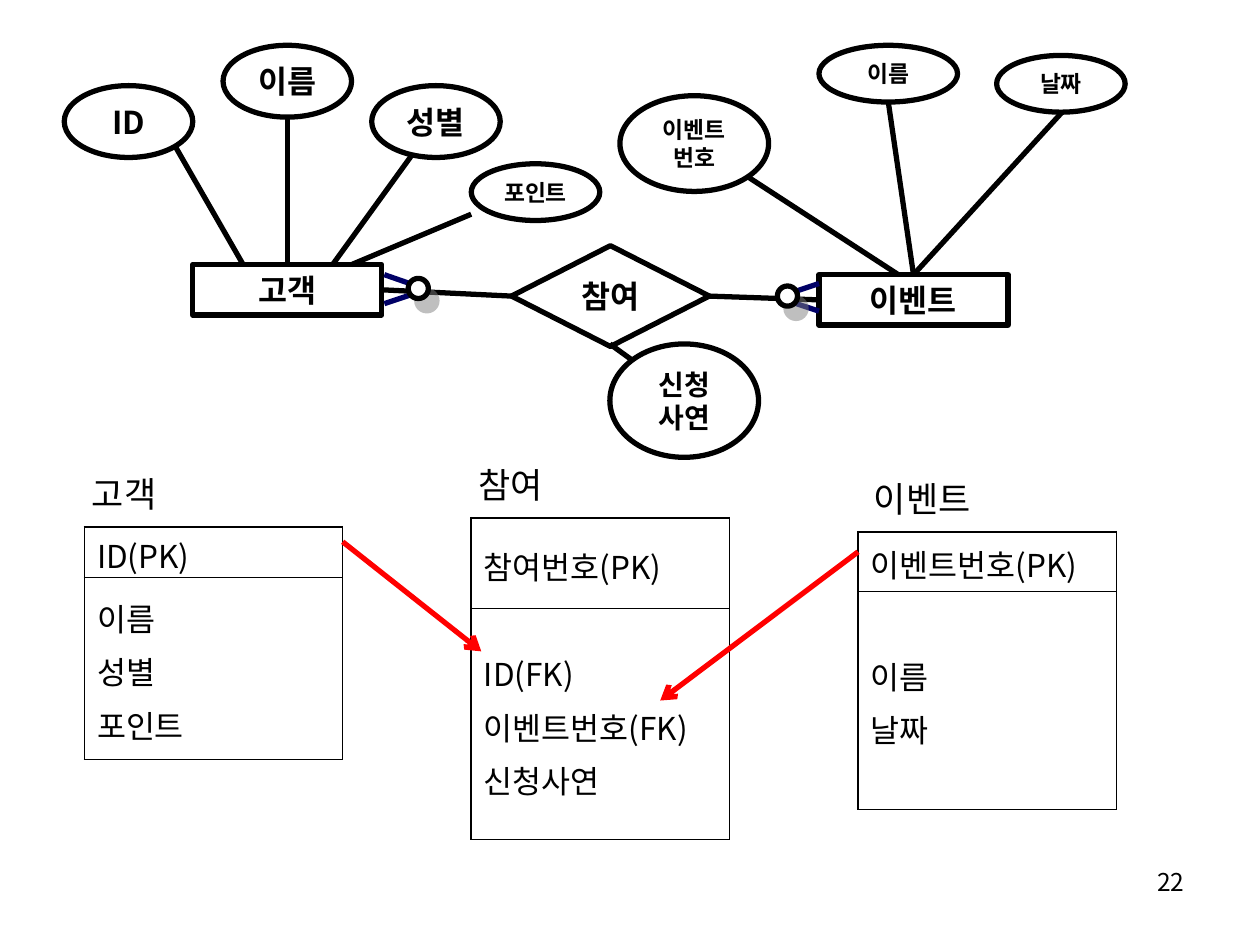
from pptx import Presentation
from pptx.dml.color import RGBColor
from pptx.enum.shapes import MSO_CONNECTOR as Conn, MSO_SHAPE as Shape
from pptx.enum.text import MSO_ANCHOR as Anchor, PP_ALIGN as Align
from pptx.oxml import parse_xml
from pptx.oxml.ns import nsdecls
from pptx.util import Inches, Pt

BLACK = RGBColor(0, 0, 0)
WHITE = RGBColor(255, 255, 255)
NAVY = RGBColor(0, 0, 0x66)
RED = RGBColor(255, 0, 0)
FACE = "Noto Sans CJK KR"
NS = nsdecls("a")

deck = Presentation()
deck.slide_width, deck.slide_height = Inches(10), Inches(7.5)
slide = deck.slides.add_slide(deck.slide_layouts[6])
shapes = slide.shapes


def write(frame, text, size, bold=False, **form):
    """Fill a text frame, one paragraph a line."""
    frame.word_wrap = True
    frame.text = text
    for para in frame.paragraphs:
        for key, val in form.items():
            setattr(para, key, val)
        font = para.runs[0].font
        look = {"size": Pt(size), "bold": bold, "name": FACE}
        for key, val in look.items():
            setattr(font, key, val)
        font.color.rgb = BLACK
        props = font._element
        props.append(parse_xml(f'<a:ea {NS} typeface="{FACE}"/>'))


def link(x1, y1, x2, y2, color=BLACK):
    """Draw a thick straight line without a shadow."""
    line = shapes.add_connector(Conn.STRAIGHT, Inches(x1), Inches(y1),
                                Inches(x2), Inches(y2))
    line.line.color.rgb = color
    line.line.width = Pt(3)
    line._element.spPr.append(parse_xml(f"<a:effectLst {NS}/>"))
    return line


# Entities, attributes and the relationship
nodes = [
    (Shape.RECTANGLE, "이벤트", 18, 6.5, 2.18, 1.5, 0.4),
    (Shape.RECTANGLE, "고객", 18, 1.53, 2.1, 1.5, 0.4),
    (Shape.FLOWCHART_DECISION, "참여", 18, 4.06, 1.95, 1.57, 0.8),
    (Shape.OVAL, "ID", 18, 0.51, 0.68, 1.02, 0.57),
    (Shape.OVAL, "이름", 18, 1.77, 0.36, 1.02, 0.57),
    (Shape.OVAL, "성별", 18, 2.95, 0.68, 1.02, 0.57),
    (Shape.OVAL, "포인트", 13, 3.74, 1.3, 1.02, 0.45),
    (Shape.OVAL, "이벤트번호", 13, 4.92, 0.76, 1.18, 0.76),
    (Shape.OVAL, "이름", 13, 6.5, 0.36, 1.1, 0.45),
    (Shape.OVAL, "날짜", 13, 7.91, 0.44, 1.02, 0.45),
    (Shape.OVAL, "신청\n사연", 16, 4.84, 2.73, 1.18, 0.9),
]
made = []
for kind, text, size, *box in nodes:
    node = shapes.add_shape(kind, *map(Inches, box))
    node.shadow.inherit = False
    node.fill.background()
    node.line.color.rgb = BLACK
    node.line.width = Pt(3)
    node.text_frame.vertical_anchor = Anchor.MIDDLE
    write(node.text_frame, text, size, True, alignment=Align.CENTER)
    made.append(node)
event, client, join = made[:3]

# Attribute lines that end away from a side's middle
for ends in [(1.39, 1.16, 1.93, 2.1), (3.27, 1.23, 2.64, 2.1),
             (3.74, 1.7, 2.79, 2.1), (5.93, 1.4, 7.13, 2.18),
             (5.02, 2.86, 4.84, 2.73)]:
    link(*ends)

# Attribute lines joined to the top of an entity
for x, y, goal in [(2.28, 0.93, client), (7.05, 0.81, event),
                   (8.43, 0.89, event)]:
    link(x, y, 7.25, 2.18).end_connect(goal, 0)

# Relationship lines
for left, right in [(client, join), (join, event)]:
    line = link(3.03, 2.3, 4.06, 2.35)
    line.begin_connect(left, 3)
    line.end_connect(right, 1)

# Crow's feet with their circles
for ends in [(6.26, 2.33, 6.5, 2.25), (6.26, 2.39, 6.5, 2.47),
             (3.05, 2.41, 3.29, 2.33), (3.05, 2.18, 3.28, 2.26)]:
    link(*ends, NAVY)
for x, y in [(3.24, 2.21), (6.17, 2.27)]:
    ring = shapes.add_shape(Shape.OVAL, Inches(x), Inches(y),
                            Inches(0.16), Inches(0.16))
    ring.fill.solid()
    ring.fill.fore_color.rgb = WHITE
    ring.line.color.rgb = BLACK
    ring.line.width = Pt(3)
    ring._element.spPr.append(parse_xml(
        f'<a:effectLst {NS}><a:outerShdw dist="{Pt(8.6)}" dir="3300000">'
        '<a:srgbClr val="808080"><a:alpha val="50000"/></a:srgbClr>'
        "</a:outerShdw></a:effectLst>"))

# Relation tables with their names
tables = [
    ("고객", 0.67, 4.18, 0.79, (0.4, 1.45), "ID(PK)", "이름\n성별\n포인트"),
    ("이벤트", 6.81, 4.22, 1.18, (0.47, 1.73), "이벤트번호(PK)", "이름\n날짜"),
    ("참여", 3.74, 4.11, 0.79, (0.72, 1.83), "참여번호(PK)",
     "ID(FK)\n이벤트번호(FK)\n신청사연"),
]
for name, x, y, wide, rows, head, body in tables:
    label = shapes.add_textbox(Inches(x - 0.08), Inches(y - 0.39),
                               Inches(wide), Inches(0.34))
    write(label.text_frame, name, 20, alignment=Align.CENTER,
          line_spacing=0.7, space_before=Pt(12.5))
    grid = shapes.add_table(2, 1, Inches(x), Inches(y), Inches(2.05),
                            Inches(sum(rows))).table
    grid.first_row = grid.horz_banding = False
    for i, (tall, text, gap) in enumerate(zip(rows, (head, body), (0, 4.5))):
        grid.rows[i].height = Inches(tall)
        cell = grid.cell(i, 0)
        look = {"vertical_anchor": Anchor.MIDDLE,
                "margin_top": Inches(0.04), "margin_bottom": 0}
        for key, val in look.items():
            setattr(cell, key, val)
        write(cell.text_frame, text, 18, space_before=Pt(gap))
        cell.fill.background()
        thick = {"L": 1.08, "R": 0.45, "T": 0.45 if i else 1.08, "B": 0.45}
        for k, (side, width) in enumerate(thick.items()):
            cell._tc.tcPr.insert(k, parse_xml(
                f'<a:ln{side} {NS} w="{Pt(width)}"><a:solidFill>'
                f'<a:srgbClr val="{BLACK}"/></a:solidFill></a:ln{side}>'))

# Arrows from primary to foreign keys
for ends in [(2.72, 4.3, 3.82, 5.17), (6.81, 4.38, 5.24, 5.56)]:
    arrow = link(*ends, RED)
    arrow.line._get_or_add_ln().append(
        parse_xml(f'<a:tailEnd {NS} type="arrow"/>'))

# Page number
page = shapes.add_textbox(Inches(7.17), Inches(6.83), Inches(2.33), Inches(0.52))
write(page.text_frame, "22", 14, alignment=Align.RIGHT)

deck.save("out.pptx")
